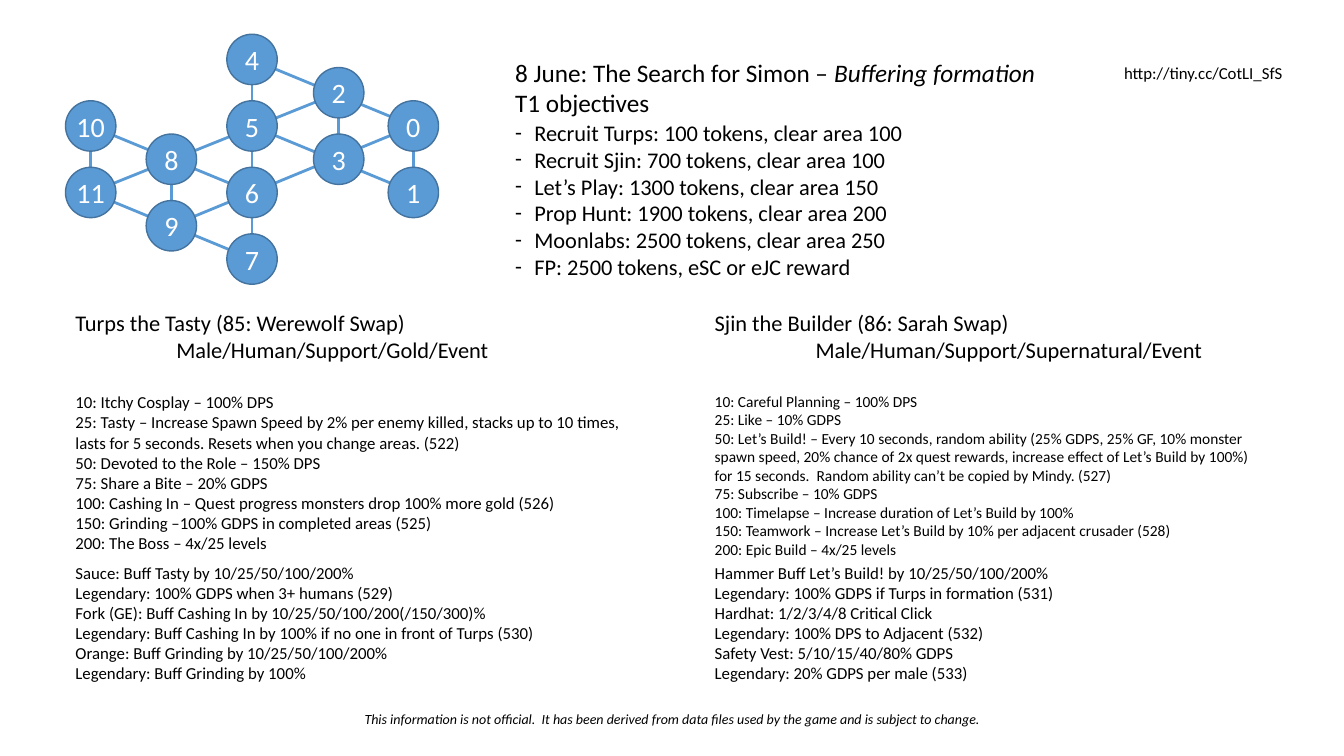
import itertools

import pptx
import pptx.dml.color
import pptx.enum.shapes
import pptx.enum.text
import pptx.oxml.ns
import pptx.util
from lxml import etree

PX = 9144
NODE_SIZE = 50
ROW_STEP = 66
INDENT = 19

COLUMNS = [
    (385, 100, [0, 1]),
    (311, 67, [2, 3]),
    (225, 34, [4, 5, 6, 7]),
    (145, 133, [8, 9]),
    (65, 100, [10, 11]),
]
LINKS = [(0, 1), (0, 9), (2, 3), (0, 4), (4, 7), (8, 9),
         (10, 11), (6, 10), (2, 11), (11, 7), (1, 5)]

OBJECTIVES = [
    "Recruit Turps: 100 tokens, clear area 100",
    "Recruit Sjin: 700 tokens, clear area 100",
    "Let’s Play: 1300 tokens, clear area 150",
    "Prop Hunt: 1900 tokens, clear area 200",
    "Moonlabs: 2500 tokens, clear area 250",
    "FP: 2500 tokens, eSC or eJC reward",
]

CRUSADERS = [
    {
        "left": 65,
        "name": "Turps the Tasty (85: Werewolf Swap)",
        "tags": "Male/Human/Support/Gold/Event",
        "ability_size": 12,
        "ability_height": 172,
        "abilities": [
            "10: Itchy Cosplay – 100% DPS",
            "25: Tasty – Increase Spawn Speed by 2% per enemy killed, stacks up to 10 times, "
            "lasts for 5 seconds. Resets when you change areas. (522)",
            "50: Devoted to the Role – 150% DPS",
            "75: Share a Bite – 20% GDPS",
            "100: Cashing In – Quest progress monsters drop 100% more gold (526)",
            "150: Grinding –100% GDPS in completed areas (525)",
            "200: The Boss – 4x/25 levels",
        ],
        "gear": [
            "Sauce: Buff Tasty by 10/25/50/100/200%",
            "Legendary: 100% GDPS when 3+ humans (529)",
            "Fork (GE): Buff Cashing In by 10/25/50/100/200(/150/300)%",
            "Legendary: Buff Cashing In by 100% if no one in front of Turps (530)",
            "Orange: Buff Grinding by 10/25/50/100/200%",
            "Legendary: Buff Grinding by 100%",
        ],
    },
    {
        "left": 699,
        "name": "Sjin the Builder (86: Sarah Swap)",
        "tags": "Male/Human/Support/Supernatural/Event",
        "ability_size": 11,
        "ability_height": 177,
        "abilities": [
            "10: Careful Planning – 100% DPS",
            "25: Like – 10% GDPS",
            "50: Let’s Build! – Every 10 seconds, random ability (25% GDPS, 25% GF, 10% monster "
            "spawn speed, 20% chance of 2x quest rewards, increase effect of Let’s Build by 100%) "
            "for 15 seconds.  Random ability can’t be copied by Mindy. (527)",
            "75: Subscribe – 10% GDPS",
            "100: Timelapse – Increase duration of Let’s Build by 100%",
            "150: Teamwork – Increase Let’s Build by 10% per adjacent crusader (528)",
            "200: Epic Build – 4x/25 levels",
        ],
        "gear": [
            "Hammer Buff Let’s Build! by 10/25/50/100/200%",
            "Legendary: 100% GDPS if Turps in formation (531)",
            "Hardhat: 1/2/3/4/8 Critical Click",
            "Legendary: 100% DPS to Adjacent (532)",
            "Safety Vest: 5/10/15/40/80% GDPS",
            "Legendary: 20% GDPS per male (533)",
        ],
    },
]


def rgb(value):
    return pptx.dml.color.RGBColor.from_string(value)


class FormationSlide:
    """Draw styled elements on one slide, with lengths in px."""

    font = "Calibri"
    ink = "000000"
    accent = "5B9BD5"
    outline = "43739E"
    paper = "FFFFFF"
    align = pptx.enum.text.PP_ALIGN

    def __init__(self, deck):
        self.slide = deck.slides.add_slide(deck.slide_layouts[1])

    def add_paragraphs(self, frame, paragraphs, size, color=ink, align=align.LEFT,
                       italic=False, bullet=None, indents=()):
        for index, (content, indent) in enumerate(
                itertools.zip_longest(paragraphs, indents, fillvalue=0)):
            paragraph = frame.paragraphs[0] if index == 0 else frame.add_paragraph()
            properties = paragraph._p.get_or_add_pPr()
            if bullet:
                properties.set("marL", str(INDENT * PX))
                properties.set("indent", str(-INDENT * PX))
                mark = etree.SubElement(properties, pptx.oxml.ns.qn("a:buFont"))
                mark.set("typeface", self.font)
                mark = etree.SubElement(properties, pptx.oxml.ns.qn("a:buChar"))
                mark.set("char", bullet)
            elif indent:
                properties.set("marL", str(indent * PX))
            paragraph.alignment = align
            paragraph.space_before = pptx.util.Pt(0)
            runs = [(content, italic)] if isinstance(content, str) else content
            for words, slanted in runs:
                run = paragraph.add_run()
                run.text = words
                run.font.name = self.font
                run.font.size = pptx.util.Pt(size)
                run.font.italic = slanted
                run.font.color.rgb = rgb(color)

    def placeholder(self, index, box, paragraphs, size, **style):
        holder = self.slide.placeholders[index]
        holder.left, holder.top, holder.width, holder.height = (n * PX for n in box)
        frame = holder.text_frame
        frame.auto_size = pptx.enum.text.MSO_AUTO_SIZE.NONE
        frame.vertical_anchor = pptx.enum.text.MSO_ANCHOR.TOP
        self.add_paragraphs(frame, paragraphs, size, **style)

    def text(self, box, paragraphs, size, wrap=True, **style):
        frame = self.slide.shapes.add_textbox(*(n * PX for n in box)).text_frame
        frame.word_wrap = wrap
        frame.auto_size = pptx.enum.text.MSO_AUTO_SIZE.SHAPE_TO_FIT_TEXT
        self.add_paragraphs(frame, paragraphs, size, **style)

    def link(self, start, end):
        line = self.slide.shapes.add_connector(
            pptx.enum.shapes.MSO_CONNECTOR.STRAIGHT, *(n * PX for n in start + end))
        line.line.color.rgb = rgb(self.accent)
        line.line.width = pptx.util.Pt(2)
        etree.SubElement(line._element.spPr, pptx.oxml.ns.qn("a:effectLst"))

    def node(self, center, label):
        left, top = (n - NODE_SIZE // 2 for n in center)
        circle = self.slide.shapes.add_shape(
            pptx.enum.shapes.MSO_SHAPE.OVAL,
            *(n * PX for n in (left, top, NODE_SIZE, NODE_SIZE)))
        circle.shadow.inherit = False
        circle.fill.solid()
        circle.fill.fore_color.rgb = rgb(self.accent)
        circle.line.color.rgb = rgb(self.outline)
        circle.line.width = pptx.util.Pt(1)
        frame = circle.text_frame
        frame.margin_left = frame.margin_right = frame.margin_top = frame.margin_bottom = 0
        frame.word_wrap = False
        frame.vertical_anchor = pptx.enum.text.MSO_ANCHOR.MIDDLE
        self.add_paragraphs(frame, [label], 20, color=self.paper, align=self.align.CENTER)


def main():
    deck = pptx.Presentation()
    deck.slide_width, deck.slide_height = 1333 * PX, 750 * PX
    page = FormationSlide(deck)

    heading = [("8 June: The Search for Simon – ", False), ("Buffering formation", True)]
    page.placeholder(0, (501, 52, 783, 66), [heading, "T1 objectives"], 18)
    page.placeholder(1, (501, 113, 783, 171), OBJECTIVES, 16, bullet="-")

    for crusader in CRUSADERS:
        left = crusader["left"]
        page.text((left, 302, 569, 64), [crusader["name"], crusader["tags"]], 16,
                  indents=(0, 100))
        page.text((left, 384, 569, crusader["ability_height"]), crusader["abilities"],
                  crusader["ability_size"])
        page.text((left, 553, 569, 131), crusader["gear"], 12)

    centers = {
        number: (left + NODE_SIZE // 2, top + row * ROW_STEP + NODE_SIZE // 2)
        for left, top, numbers in COLUMNS
        for row, number in enumerate(numbers)
    }
    for start, end in LINKS:
        page.link(centers[start], centers[end])
    for number, center in centers.items():
        page.node(center, str(number))

    disclaimer = ("This information is not official.  It has been derived from data files "
                  "used by the game and is subject to change.")
    page.text((0, 700, 1333, 27), [disclaimer], 10, align=page.align.CENTER, italic=True)
    page.text((1105, 57, 179, 30), ["http://tiny.cc/CotLI_SfS"], 12, wrap=False)
    deck.save("out.pptx")


if __name__ == "__main__":
    main()
